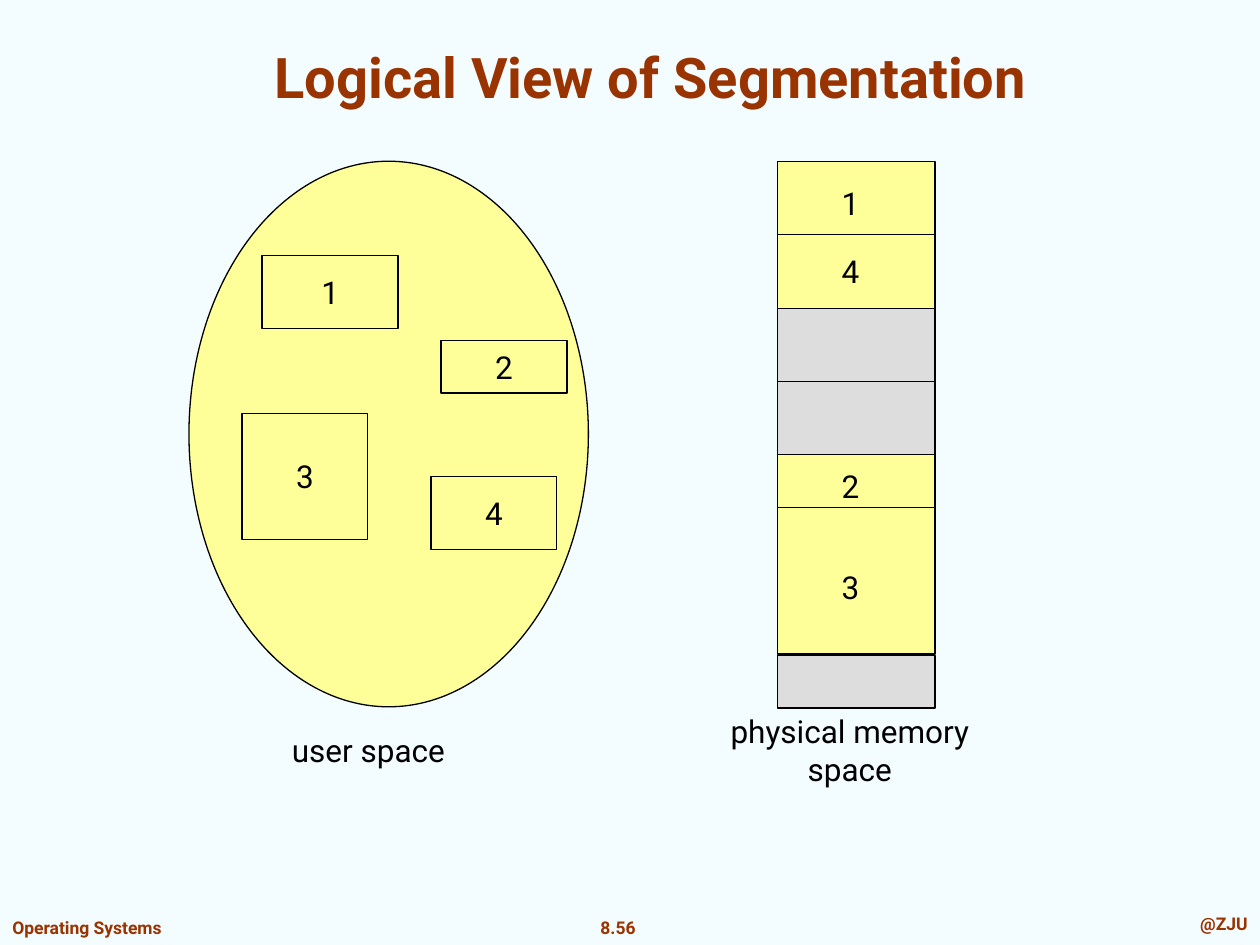
from lxml import etree
from pptx import Presentation
from pptx.dml.color import RGBColor
from pptx.enum.shapes import MSO_CONNECTOR, MSO_SHAPE
from pptx.enum.text import MSO_ANCHOR, PP_ALIGN
from pptx.oxml.ns import qn
from pptx.util import Inches, Pt

LEFT, CENTER, RIGHT = PP_ALIGN.LEFT, PP_ALIGN.CENTER, PP_ALIGN.RIGHT
TOP, MIDDLE, BOTTOM = MSO_ANCHOR.TOP, MSO_ANCHOR.MIDDLE, MSO_ANCHOR.BOTTOM
STRAIGHT = MSO_CONNECTOR.STRAIGHT
RECTANGLE, OVAL = MSO_SHAPE.RECTANGLE, MSO_SHAPE.OVAL
FONT = "Roboto"
COLORS = {
    "background": "F3FCFF",
    "accent": "993300",
    "ink": "000000",
    "used": "FFFF99",
    "free": "DDDDDD",
}


def color(name):
    """Return the named colour."""
    return RGBColor.from_string(COLORS[name])


def write_text(shape, text, size=18, ink="ink", bold=False,
               alignment=CENTER, anchor=MIDDLE, wrap=False):
    """Write one formatted run into a shape."""
    frame = shape.text_frame
    frame.word_wrap = wrap
    frame.vertical_anchor = anchor
    paragraph = frame.paragraphs[0]
    paragraph.alignment = alignment
    run = paragraph.add_run()
    run.text = text
    run.font.name = FONT
    run.font.size = Pt(size)
    run.font.bold = bold
    run.font.color.rgb = color(ink)


def add_text(slide, box, text, **style):
    """Add a text box with one line of text."""
    shape = slide.shapes.add_textbox(*map(Inches, box))
    write_text(shape, text, **style)
    return shape


def add_block(slide, kind, box, fill):
    """Add a filled shape with a thin outline."""
    shape = slide.shapes.add_shape(kind, *map(Inches, box))
    shape.shadow.inherit = False
    shape.fill.solid()
    shape.fill.fore_color.rgb = color(fill)
    shape.line.color.rgb = color("ink")
    shape.line.width = Pt(0.75)
    return shape


def add_divider(slide, left, top, width):
    """Add a thin horizontal line."""
    ends = map(Inches, (left, top, left + width, top))
    connector = slide.shapes.add_connector(STRAIGHT, *ends)
    connector.line.color.rgb = color("ink")
    connector.line.width = Pt(0.75)
    etree.SubElement(connector._element.spPr, qn("a:effectLst"))


def add_title(slide, box):
    """Place and format the slide title."""
    title = slide.shapes.title
    title.left, title.top, title.width, title.height = map(Inches, box)
    write_text(title, "Logical View of Segmentation", size=32, ink="accent",
               bold=True, anchor=BOTTOM, wrap=True)


def add_user_space(slide, box):
    """Draw the user space ellipse with its segments and caption."""
    left, top = box[:2]
    add_block(slide, OVAL, box, "used")
    segments = [
        ("1", 0.58, 0.75, 1.08, 0.58),
        ("3", 0.42, 2, 1, 1),
        ("2", 2, 1.42, 1, 0.42),
        ("4", 1.92, 2.5, 1, 0.58),
    ]
    for name, x, y, width, height in segments:
        segment = add_block(slide, RECTANGLE,
                            (left + x, top + y, width, height), "used")
        write_text(segment, name)
    add_text(slide, (left + 0.71, top + 4.47, 1.49, 0.4), "user space ")


def add_physical_memory(slide, box):
    """Draw the memory column with its segments, gaps and caption."""
    left, top, width, _ = box
    regions = [(0, 1.17, "used"), (1.17, 1.16, "free"),
               (2.33, 1.58, "used"), (3.92, 0.42, "free")]
    for y, height, fill in regions:
        add_block(slide, RECTANGLE, (left, top + y, width, height), fill)
    for y in (0.58, 1.75, 2.75):
        add_divider(slide, left, top + y, width)
    for name, y in (("1", 0.13), ("4", 0.67), ("2", 2.38), ("3", 3.18)):
        add_text(slide, (left + 0.41, top + y, 0.34, 0.4), name)
    caption = add_text(slide, (left - 0.83, top + 4.47, 2.81, 0.4),
                       "physical memory space", wrap=True)
    caption.text_frame.margin_left = Inches(0.2)
    caption.text_frame.margin_right = Inches(0.2)


def add_footer(slide, box):
    """Write the course name, page number and source along the bottom."""
    left, top, width, height = box
    parts = [
        ("Operating Systems", left, top + 0.03, 1.47, LEFT),
        ("8.56", left + 4.66, top + 0.03, 0.49, CENTER),
        ("@ZJU", left + width - 2.9, top, 2.9, RIGHT),
    ]
    for text, x, y, part_width, alignment in parts:
        add_text(slide, (x, y, part_width, height), text, size=10,
                 ink="accent", bold=True, alignment=alignment, anchor=TOP,
                 wrap=alignment == RIGHT)


def main():
    """Build and save the presentation."""
    presentation = Presentation()
    presentation.slide_width = Inches(10)
    presentation.slide_height = Inches(7.5)
    slide = presentation.slides.add_slide(presentation.slide_layouts[5])
    slide.background.fill.solid()
    slide.background.fill.fore_color.rgb = color("background")
    add_footer(slide, (0, 7.2, 10, 0.27))
    add_title(slide, (0.75, 0.25, 8.83, 0.67))
    add_user_space(slide, (1.5, 1.28, 3.17, 4.33))
    add_physical_memory(slide, (6.17, 1.28, 1.25, 4.34))
    presentation.save("out.pptx")


if __name__ == "__main__":
    main()
